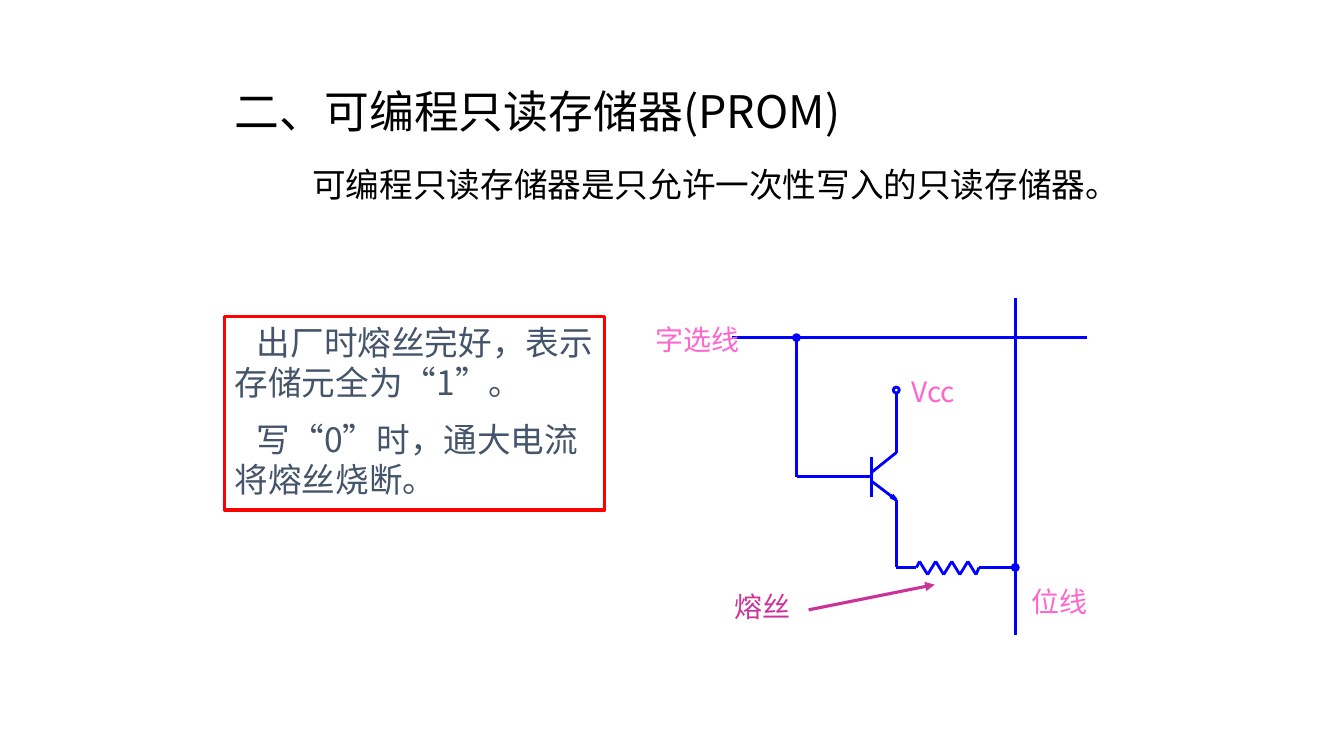
import itertools
import math

import lxml.etree
import pptx
import pptx.dml.color
import pptx.enum.shapes
import pptx.enum.text
import pptx.oxml.ns
import pptx.util

Inches = pptx.util.Inches
SANS = "Noto Sans CJK SC"
SERIF = "Times New Roman"
BLUE, PINK, MAGENTA = "0000FF", "FF66CC", "CC3399"


def color(value):
    return pptx.dml.color.RGBColor.from_string(value)


def write_text(shape, paragraphs, size, fill, font=SANS, quote_font=SANS, indent=0, inset=True, wrap=True):
    frame = shape.text_frame
    frame.word_wrap = wrap
    frame.auto_size = pptx.enum.text.MSO_AUTO_SIZE.SHAPE_TO_FIT_TEXT
    frame.vertical_anchor = pptx.enum.text.MSO_ANCHOR.TOP
    if not inset:
        frame.margin_left = frame.margin_top = frame.margin_right = frame.margin_bottom = 0
    for index, text in enumerate(paragraphs):
        paragraph = frame.add_paragraph() if index else frame.paragraphs[0]
        paragraph.alignment = pptx.enum.text.PP_ALIGN.LEFT
        if index:
            paragraph.space_before = pptx.util.Pt(size / 2)
        if indent:
            properties = paragraph._p.get_or_add_pPr()
            properties.set("marL", "0")
            properties.set("indent", str(Inches(indent)))
        for quoted, letters in itertools.groupby(text, lambda letter: letter in "“”"):
            run = paragraph.add_run()
            run.text = "".join(letters)
            run.font.size = pptx.util.Pt(size)
            run.font.color.rgb = color(fill)
            run.font.name = quote_font if quoted else font
            properties = run._r.get_or_add_rPr()
            properties.set("lang", "zh-CN")
            east_asian = lxml.etree.SubElement(properties, pptx.oxml.ns.qn("a:ea"))
            east_asian.set("typeface", SANS)


presentation = pptx.Presentation()
presentation.slide_width = Inches(13.33)
presentation.slide_height = Inches(7.5)
slide = presentation.slides.add_slide(presentation.slide_layouts[6])

title = slide.shapes.add_textbox(Inches(2.23), Inches(0.78), Inches(7.25), Inches(0.63))
write_text(title, ["二、可编程只读存储器(PROM)"], 32, "000000")

definition = slide.shapes.add_textbox(Inches(2.33), Inches(1.58), Inches(9.08), Inches(0.5))
write_text(definition, ["可编程只读存储器是只允许一次性写入的只读存储器。"], 24, "000000", font=SERIF, indent=0.67)

zigzag = [(9.12 + 0.08 * step, 5.7 if step % 2 else 5.57) for step in range(8)]
word_line = [(7.26, 3.35), (10.78, 3.35)]
bit_line = [(10.07, 6.3), (10.07, 2.96)]
base = [(7.9, 3.35), (7.9, 4.73), (8.64, 4.73)]
base_bar = [(8.64, 4.93), (8.64, 4.53)]
collector = [(8.64, 4.69), (8.89, 4.49), (8.89, 3.9)]
emitter = [(8.64, 4.77), (8.89, 4.96), (8.89, 5.63), (9.09, 5.63)]
emitter_head = [(8.89, 4.96), (8.85, 4.91), (8.83, 4.93), (8.89, 4.96)]
fuse = [(9.09, 5.63)] + zigzag + [(9.71, 5.63), (10.07, 5.63)]
pointer = [(8.02, 6.05), (9.27, 5.8)]

for wire in (word_line, bit_line, base, base_bar, collector, emitter, emitter_head, fuse, pointer):
    for start, end in itertools.pairwise(wire):
        connector = slide.shapes.add_connector(
            pptx.enum.shapes.MSO_CONNECTOR.STRAIGHT, *[Inches(value) for value in start + end])
        connector.line.color.rgb = color(MAGENTA if wire is pointer else BLUE)
        connector.line.width = pptx.util.Pt(2.25 if wire is pointer else 2)
        lxml.etree.SubElement(connector._element.spPr, pptx.oxml.ns.qn("a:effectLst"))
        if wire is pointer:
            arrowhead = lxml.etree.SubElement(connector.line._get_or_add_ln(), pptx.oxml.ns.qn("a:tailEnd"))
            arrowhead.set("type", "triangle")

supply, word_node, bit_node = (8.89, 3.87), (7.9, 3.35), (10.07, 5.63)
rings = [(supply, 0.03)] + [(node, radius) for node in (word_node, bit_node) for radius in (0.03, 0.02, 0.01)]
for (x, y), radius in rings:
    corners = [(Inches(x + radius * math.cos(step * math.pi / 4)),
                Inches(y + radius * math.sin(step * math.pi / 4))) for step in range(8)]
    builder = slide.shapes.build_freeform(*corners[0], scale=1.0)
    builder.add_line_segments(corners[1:], close=True)
    ring = builder.convert_to_shape()
    ring.shadow.inherit = False
    ring.fill.background()
    ring.line.color.rgb = color(BLUE)
    ring.line.width = pptx.util.Pt(2)

labels = [
    ("字选线", 6.5, 3.2, 0.84, 0.33),
    ("Vcc", 9.04, 3.72, 0.45, 0.34),
    ("位线", 10.23, 5.8, 0.56, 0.33),
]
for text, *place in labels:
    label = slide.shapes.add_textbox(*[Inches(value) for value in place])
    write_text(label, [text], 20, PINK, inset=False, wrap=False)

fuse_label = slide.shapes.add_textbox(Inches(7.19), Inches(5.8), Inches(0.92), Inches(0.43))
write_text(fuse_label, ["熔丝"], 20, MAGENTA, font=SERIF)

note = slide.shapes.add_shape(
    pptx.enum.shapes.MSO_SHAPE.RECTANGLE, Inches(2.23), Inches(3.14), Inches(3.77), Inches(1.92))
note.shadow.inherit = False
note.fill.background()
note.line.color.rgb = color("FF0000")
note.line.width = pptx.util.Pt(2.25)
write_text(note, ["出厂时熔丝完好，表示存储元全为“1”。", "写“0”时，通大电流将熔丝烧断。"],
           24, "44546A", quote_font=SERIF, indent=0.22)

presentation.save("out.pptx")
